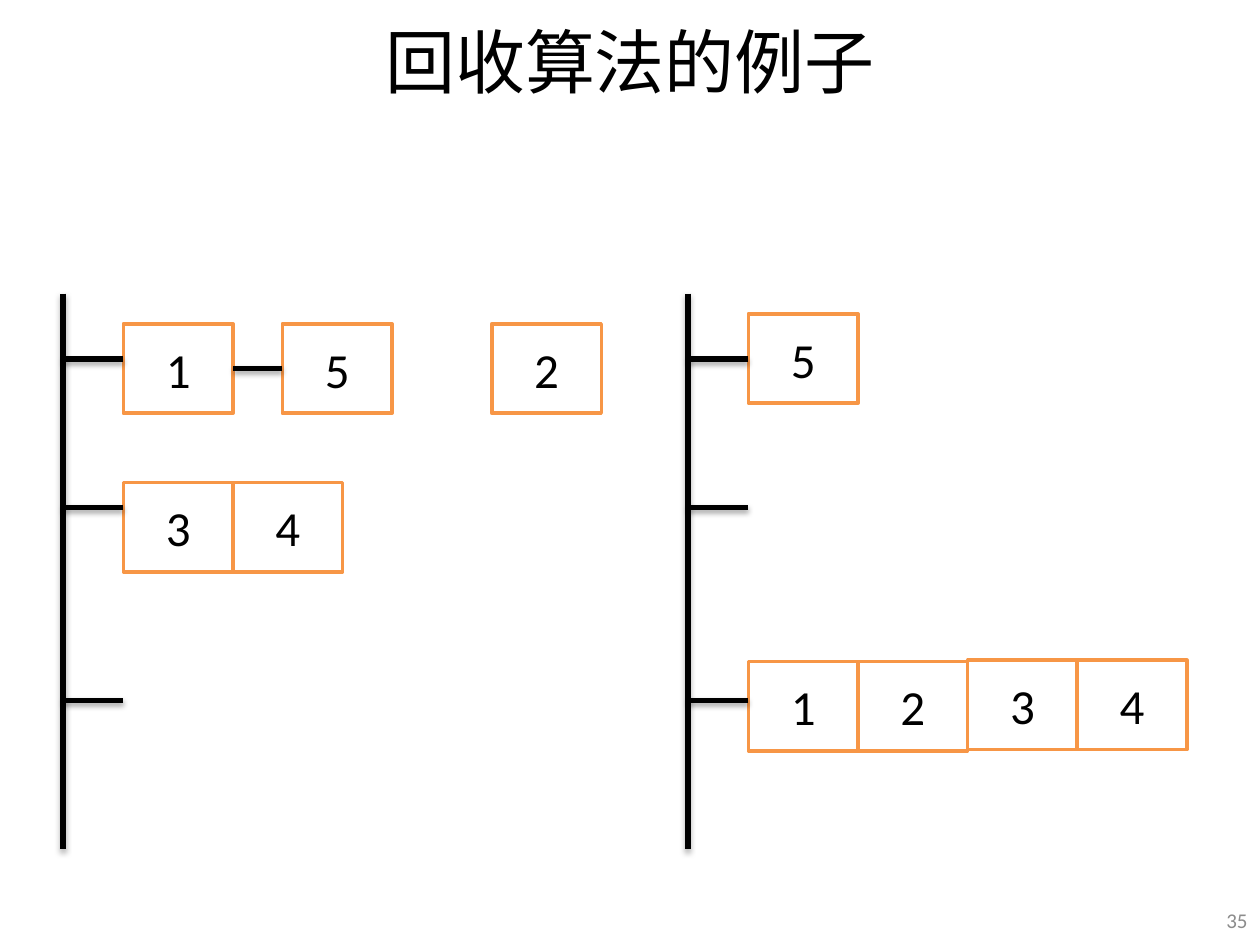
from lxml import etree
from pptx import Presentation, util as u
from pptx.dml.color import RGBColor
from pptx.enum import shapes as kinds, text
from pptx.oxml.ns import qn

SLIDE_W, SLIDE_H = 10, 7.5
CELL_W, CELL_H = 0.87, 0.71
BRANCH = 0.48                   # length of a branch from trunk to first cell
BRANCH_ROWS = (0.52, 1.70, 3.23)  # below the top of the trunk
BLACK, WHITE, ORANGE, GREY = "000000", "FFFFFF", "F79646", "8C8C8C"


def color(value):
    return RGBColor.from_string(value)


def inches(*lengths):
    return [u.Inches(length) for length in lengths]


def write(shape, words, size, align, ink=BLACK):
    frame = shape.text_frame
    frame.word_wrap = True
    frame.vertical_anchor = text.MSO_ANCHOR.MIDDLE
    paragraph = frame.paragraphs[0]
    paragraph.text = words
    paragraph.alignment = align
    paragraph.font.name = "Calibri"
    paragraph.font.size = u.Pt(size)
    paragraph.font.color.rgb = color(ink)


def add_text(slide, box, words, size, align, ink=BLACK):
    write(slide.shapes.add_textbox(*inches(*box)), words, size, align, ink)


def add_line(parent, start, end):
    line = parent.add_connector(kinds.MSO_CONNECTOR.STRAIGHT,
                                *inches(*start, *end))
    line.line.color.rgb = color(BLACK)
    line.line.width = u.Pt(3)
    effects = etree.SubElement(line._element.spPr, qn("a:effectLst"))
    shadow = etree.SubElement(
        effects, qn("a:outerShdw"), blurRad=str(u.Pt(3.1)),
        dist=str(u.Pt(1.8)), dir="5400000", rotWithShape="0")
    ink = etree.SubElement(shadow, qn("a:srgbClr"), val=BLACK)
    etree.SubElement(ink, qn("a:alpha"), val="35000")
    return line


def add_cell(parent, left, top, label):
    cell = parent.add_shape(kinds.MSO_SHAPE.RECTANGLE,
                            *inches(left, top, CELL_W, CELL_H))
    cell.shadow.inherit = False
    cell.fill.solid()
    cell.fill.fore_color.rgb = color(WHITE)
    cell.line.color.rgb = color(ORANGE)
    cell.line.width = u.Pt(2)
    write(cell, label, 28, text.PP_ALIGN.CENTER)
    return cell


def add_free_list(parent, left, top, height, blocks):
    """Draw a trunk with branches; blocks are (label, column, drop from top)."""
    cells = {label: add_cell(parent, left + BRANCH + column * CELL_W,
                             top + drop, label)
             for label, column, drop in blocks}
    add_line(parent, (left, top), (left, top + height))
    for row in BRANCH_ROWS:
        add_line(parent, (left, top + row), (left + BRANCH, top + row))
    return cells


def add_link(parent, first, second):
    link = add_line(parent, (0, 0), (1, 0))
    link.begin_connect(first, 3)
    link.end_connect(second, 1)


def build():
    deck = Presentation()
    deck.slide_width, deck.slide_height = inches(SLIDE_W, SLIDE_H)
    slide = deck.slides.add_slide(deck.slide_layouts[6])

    add_text(slide, (0.5, -0.03, SLIDE_W - 1, 1.02), "回收算法的例子", 40,
             text.PP_ALIGN.CENTER)
    add_text(slide, (SLIDE_W - 0.43, SLIDE_H - 0.4, 0.43, 0.4), "35", 12,
             text.PP_ALIGN.RIGHT, GREY)

    trunk_top, trunk_height = 2.33, 4.41
    before = add_free_list(
        slide.shapes, 0.5, trunk_top, trunk_height,
        [("1", 0, 0.24), ("5", 1.45, 0.24), ("4", 1, 1.5), ("3", 0, 1.5),
         ("2", 3.36, 0.24)])
    add_free_list(
        slide.shapes.add_group_shape().shapes, 5.46, trunk_top, trunk_height,
        [("5", 0, 0.16), ("2", 1, 2.92), ("1", 0, 2.92), ("4", 3, 2.91),
         ("3", 2, 2.91)])
    add_link(slide.shapes, before["1"], before["5"])

    deck.save("out.pptx")


if __name__ == "__main__":
    build()
